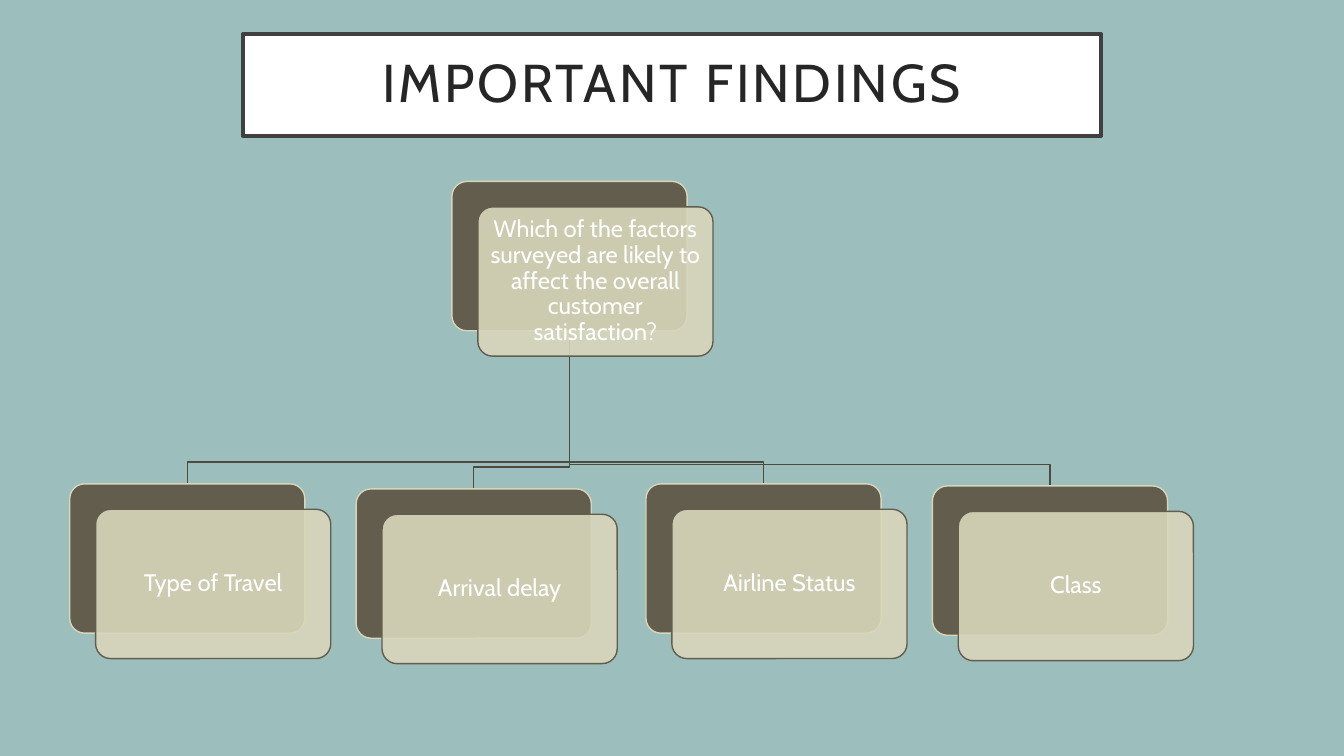
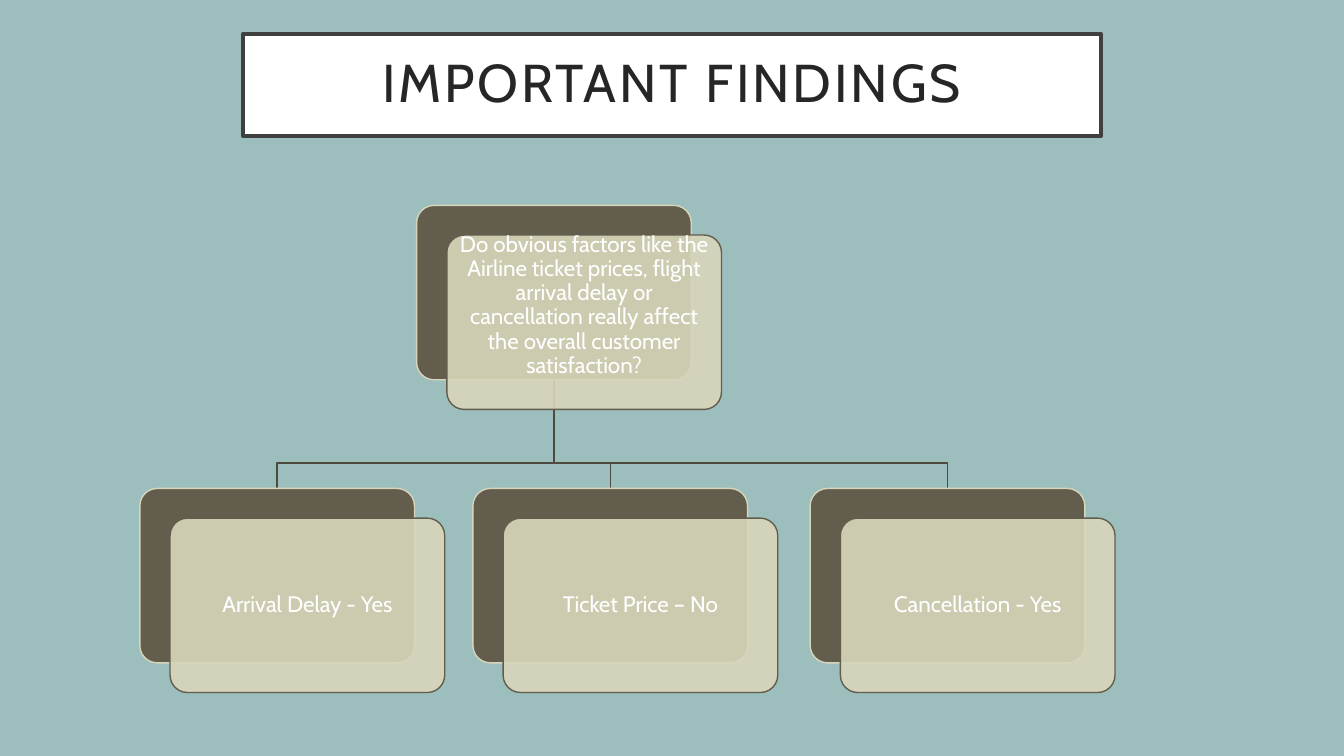
from dataclasses import dataclass

from lxml import etree
from pptx import Presentation
from pptx.dml.color import RGBColor
from pptx.enum.shapes import MSO_SHAPE
from pptx.enum.text import MSO_ANCHOR, MSO_AUTO_SIZE, PP_ALIGN
from pptx.oxml.ns import qn
from pptx.util import Inches, Pt

ROUND = MSO_SHAPE.ROUNDED_RECTANGLE
MIDDLE = MSO_ANCHOR.MIDDLE
FIXED = MSO_AUTO_SIZE.NONE
CENTER = PP_ALIGN.CENTER

COLS, ROWS = 160, 90
WIDE, HIGH = Inches(13.33), Inches(7.5)


@dataclass(frozen=True)
class Theme:
    back: str = "9CBEBD"
    panel: str = "FFFFFF"
    frame: str = "404040"
    ink: str = "262626"
    dark: str = "635D4D"
    pale: str = "D8D6BA"
    wire: str = "4F4A3E"
    light: str = "FFFFFF"
    font: str = "Cabin"
    head: int = 38
    track: int = 200
    alpha: int = 90


class Deck:
    def __init__(self, theme):
        self.theme = theme
        self.show = Presentation()
        self.show.slide_width, self.show.slide_height = WIDE, HIGH
        self.paint(self.show.slide_master.background.fill, theme.back)
        self.slide = None

    def x(self, cols):
        return round(WIDE * cols / COLS)

    def y(self, rows):
        return round(HIGH * rows / ROWS)

    def paint(self, fill, color):
        fill.solid()
        fill.fore_color.rgb = RGBColor.from_string(color)

    def edge(self, shape, color, width):
        self.paint(shape.line.fill, color)
        shape.line.width = Pt(width)

    def label(self, shape, text, size, color, pads):
        frame = shape.text_frame
        frame.word_wrap = True
        frame.auto_size = FIXED
        frame.vertical_anchor = MIDDLE
        (frame.margin_left, frame.margin_top,
         frame.margin_right, frame.margin_bottom) = map(Inches, pads)
        para = frame.paragraphs[0]
        para.alignment = CENTER
        para.line_spacing = 0.9
        run = para.add_run()
        run.text = text
        run.font.name = self.theme.font
        run.font.size = Pt(size)
        run.font.color.rgb = RGBColor.from_string(color)
        return run

    def title(self, text):
        theme = self.theme
        self.slide = self.show.slides.add_slide(self.show.slide_layouts[5])
        box = self.slide.shapes.title
        box.left, box.top = self.x(28.92), self.y(4.08)
        box.width, box.height = self.x(102.15), self.y(12.12)
        self.paint(box.fill, theme.panel)
        self.edge(box, theme.frame, 3)
        run = self.label(box, text, theme.head, theme.ink, (0.3, 0.2, 0.3, 0.2))
        run.font._element.set("spc", str(theme.track))

    def plate(self, left, top, wide, high, fill, line):
        shape = self.slide.shapes.add_shape(
            ROUND, self.x(left), self.y(top), self.x(wide), self.y(high))
        shape.adjustments[0] = 0.1
        shape.shadow.inherit = False
        self.paint(shape.fill, fill)
        self.edge(shape, line, 1)
        return shape

    def card(self, left, top, wide, high, text, size, base=0.07):
        theme = self.theme
        self.plate(left, top, wide, high, theme.dark, theme.pale)
        front = self.plate(left + 0.11 * wide, top + 0.17 * high, wide, high,
                           theme.pale, theme.dark)
        tint = front._element.spPr.find(qn("a:solidFill"))[0]
        etree.SubElement(tint, qn("a:alpha")).set("val", str(theme.alpha * 1000))
        self.label(front, text, size, theme.light, (0.07, 0.07, 0.07, base))

    def branch(self, start, end, drop):
        (left, top), (right, low) = start, end
        turn = low - drop
        route = self.slide.shapes.build_freeform(self.x(left), self.y(top))
        route.add_line_segments(
            [(self.x(col), self.y(row))
             for col, row in ((left, turn), (right, turn), (right, low))],
            close=False)
        shape = route.convert_to_shape()
        shape.shadow.inherit = False
        shape.fill.background()
        self.edge(shape, self.theme.wire, 1)

    def tree(self, wide, size, root, leaves, base=0.07):
        high = 0.635 * wide
        left, top, text = root
        start = left + wide / 2, top + high
        for col, row, _ in leaves:
            self.branch(start, (col + wide / 2, row), 0.145 * high)
        self.card(left, top, wide, high, text, size, base)
        for col, row, name in leaves:
            self.card(col, row, wide, high, name, size)

    def save(self):
        self.show.save("out.pptx")


def main():
    deck = Deck(Theme())
    head = "IMPORTANT FINDINGS"

    deck.title(head)
    deck.tree(
        28, 17,
        (53.8, 21.6, "Which of the factors surveyed are likely to affect "
                     "the overall customer satisfaction?"),
        [(8.3, 57.6, "Type of Travel"),
         (42.4, 58.2, "Arrival delay"),
         (76.9, 57.6, "Airline Status"),
         (111, 57.85, "Class")])

    deck.title(head)
    deck.tree(
        32.7, 16,
        (49.6, 24.45, "Do obvious factors like the Airline ticket prices, "
                      "flight arrival delay or cancellation really affect "
                      "the overall customer satisfaction?"),
        [(16.65, 58.15, "Arrival Delay - Yes"),
         (56.3, 58.15, "Ticket Price – No"),
         (96.45, 58.15, "Cancellation - Yes")],
        base=0.4)

    deck.save()


if __name__ == "__main__":
    main()
